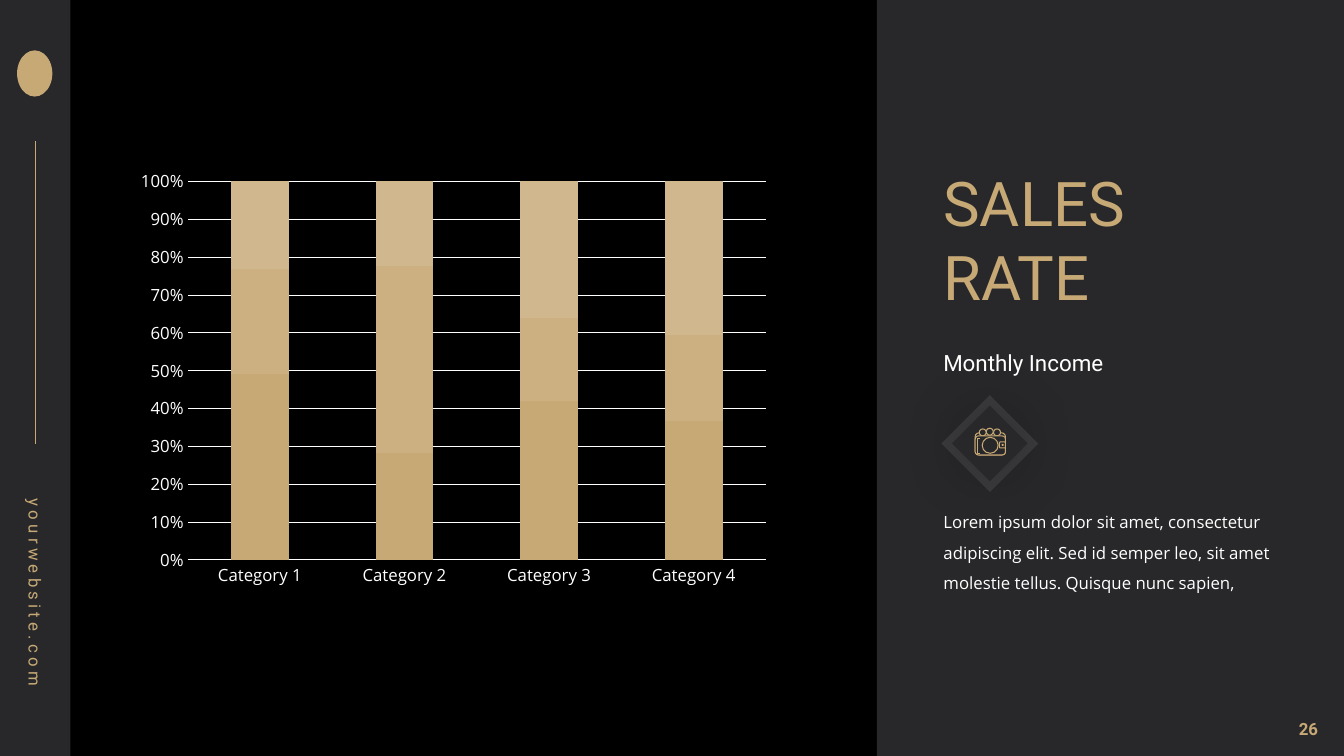
from dataclasses import dataclass, field
from typing import Any

from lxml import etree
from pptx import Presentation
from pptx.chart.data import CategoryChartData
from pptx.dml.color import RGBColor
from pptx.enum.chart import XL_CHART_TYPE, XL_TICK_MARK
from pptx.enum.shapes import MSO_CONNECTOR, MSO_SHAPE
from pptx.enum.text import MSO_ANCHOR, MSO_AUTO_SIZE, PP_ALIGN
from pptx.oxml.ns import qn
from pptx.util import Pt

RECTANGLE = MSO_SHAPE.RECTANGLE
ROUNDED = MSO_SHAPE.ROUNDED_RECTANGLE
OVAL = MSO_SHAPE.OVAL
STRAIGHT = MSO_CONNECTOR.STRAIGHT
STACKED = XL_CHART_TYPE.COLUMN_STACKED_100
NO_TICK = XL_TICK_MARK.NONE
LEFT, CENTER = PP_ALIGN.LEFT, PP_ALIGN.CENTER
TOP, MIDDLE = MSO_ANCHOR.TOP, MSO_ANCHOR.MIDDLE
NO_AUTOFIT = MSO_AUTO_SIZE.NONE


@dataclass(frozen=True)
class Theme:
    black: str = "000000"
    white: str = "FFFFFF"
    panel: str = "28282A"
    frame: str = "3B3B3D"
    gold: str = "C7A976"
    tints: tuple[str, ...] = ("C7A976", "CCB082", "D0B78D")
    heading_font: str = "Roboto"
    body_font: str = "Open Sans"
    title_size: int = 44
    heading_size: int = 16
    text_size: int = 12
    hairline: float = 0.75


THEME = Theme()


@dataclass(frozen=True)
class Box:
    left: float
    top: float
    width: float
    height: float

    def lengths(self) -> tuple[Pt, ...]:
        return Pt(self.left), Pt(self.top), Pt(self.width), Pt(self.height)


@dataclass(frozen=True)
class Block:
    kind: MSO_SHAPE
    box: Box
    fill: str | None = None
    line: str | None = None
    rotation: float = 0


@dataclass(frozen=True)
class Label:
    lines: tuple[str, ...]
    box: Box
    size: int = THEME.text_size
    font: str = THEME.heading_font
    color: str = THEME.gold
    bold: bool = False
    rotation: float = 0
    tracking: int = 0
    frame: dict[str, Any] = field(default_factory=dict)
    layout: dict[str, Any] = field(default_factory=dict)


def square(center_x: float, center_y: float, side: float) -> Box:
    return Box(center_x - side / 2, center_y - side / 2, side, side)


TEXT_LEFT = 666.7
ICON_X, ICON_Y = 707, 316.8

BACKDROP = (
    Block(RECTANGLE, Box(0, 0, 50.4, 540), THEME.panel),
    Block(OVAL, Box(12.2, 36, 25.2, 33), THEME.gold),
    Block(RECTANGLE, Box(626.4, 0, 333.6, 540), THEME.panel),
    Block(RECTANGLE, square(ICON_X, ICON_Y, 49), THEME.frame, rotation=45),
)
DIAMOND = Block(RECTANGLE, square(ICON_X, ICON_Y, 38.2), THEME.panel, rotation=45)
WALLET = (
    Block(ROUNDED, Box(696.6, 309.2, 21.6, 15.8), THEME.panel, THEME.gold),
    *(Block(OVAL, square(x, y, 5), THEME.panel, THEME.gold)
      for x, y in ((702, 308.9), (712.2, 308.9), (707, 308.4))),
    Block(ROUNDED, Box(696.6, 311.4, 21.6, 13.6), THEME.panel, THEME.gold),
    Block(OVAL, square(707.3, 318.1, 11.4), line=THEME.gold),
    Block(ROUNDED, Box(713.9, 315.7, 4.3, 4.3), THEME.panel, THEME.gold),
    Block(OVAL, square(716.2, 317.8, 1.6), THEME.gold),
)
STITCH = ((699.8, 312.6), (698.4, 312.6), (698.4, 323.6), (699.8, 323.6))

TITLE = Label(("SALES", "RATE"), Box(TEXT_LEFT, 114.5, 200, 113.8), THEME.title_size)
BODY = Label(
    ("Lorem ipsum dolor sit amet, consectetur adipiscing elit. "
     "Sed id semper leo, sit amet molestie tellus. Quisque nunc sapien,",),
    Box(TEXT_LEFT, 355, 284.4, 70.6), font=THEME.body_font, color=THEME.white,
    layout={"line_spacing": 1.5})
LABELS = (
    Label(("Monthly Income",), Box(TEXT_LEFT, 246.2, 163.4, 26.6),
          THEME.heading_size, color=THEME.white),
    Label(("yourwebsite.com",), Box(-59.8, 423.4, 169.9, 21.6),
          rotation=90, tracking=300),
    Label(("26",), Box(909.4, 506.2, 50.4, 28.8), bold=True,
          frame={"vertical_anchor": MIDDLE}, layout={"alignment": CENTER}),
)
CATEGORIES = [f"Category {number}" for number in range(1, 5)]
SERIES = ((49, 28, 42, 37), (28, 49, 22, 23), (23, 22, 36, 41))


def set_attributes(target: Any, values: dict[str, Any]) -> None:
    for name, value in values.items():
        setattr(target, name, value)


def rgb(color: str) -> RGBColor:
    return RGBColor.from_string(color)


def paint(shape: Any, fill: str | None, line: str | None) -> None:
    shape.shadow.inherit = False
    if fill:
        shape.fill.solid()
        shape.fill.fore_color.rgb = rgb(fill)
    else:
        shape.fill.background()
    if line:
        set_line(shape.line, line, THEME.hairline)
    else:
        shape.line.fill.background()


def set_line(line: Any, color: str, width: float) -> None:
    line.color.rgb = rgb(color)
    line.width = Pt(width)


def set_font(font: Any, name: str, size: int, color: str, bold: bool = False) -> None:
    set_attributes(font, {"name": name, "size": Pt(size), "bold": bold})
    font.color.rgb = rgb(color)


def place(shape: Any, box: Box) -> None:
    set_attributes(shape, dict(zip(("left", "top", "width", "height"), box.lengths())))


def add_block(slide: Any, block: Block) -> Any:
    shape = slide.shapes.add_shape(block.kind, *block.box.lengths())
    shape.rotation = block.rotation
    paint(shape, block.fill, block.line)
    return shape


def add_glow(shape: Any) -> None:
    effects = shape.element.spPr.find(qn("a:effectLst"))
    shadow = etree.SubElement(effects, qn("a:outerShdw"), blurRad=str(Pt(44)),
                              dist="0", dir="0", algn="ctr", rotWithShape="0")
    color = etree.SubElement(shadow, qn("a:srgbClr"), val=THEME.black)
    etree.SubElement(color, qn("a:alpha"), val="27000")


def write(shape: Any, label: Label) -> None:
    place(shape, label.box)
    shape.rotation = label.rotation
    frame = shape.text_frame
    set_attributes(frame, {"word_wrap": True, "auto_size": NO_AUTOFIT,
                           "vertical_anchor": TOP, **label.frame})
    frame.text = "\n".join(label.lines)
    for paragraph in frame.paragraphs:
        set_attributes(paragraph, {"alignment": LEFT, "space_before": Pt(0), **label.layout})
        for run in paragraph.runs:
            set_font(run.font, label.font, label.size, label.color, label.bold)
            if label.tracking:
                run._r.get_or_add_rPr().set("spc", str(label.tracking))


def fill_placeholder(shape: Any, label: Label) -> None:
    shape.element.getparent().append(shape.element)
    write(shape, label)
    for paragraph in shape.text_frame.paragraphs:
        properties = paragraph._p.get_or_add_pPr()
        set_indents = {"marL": "0", "indent": "0"}
        properties.attrib.update(set_indents)
        etree.SubElement(properties, qn("a:buNone"))


def add_rail_line(slide: Any) -> None:
    connector = slide.shapes.add_connector(STRAIGHT, Pt(25.2), Pt(100.8), Pt(25.2), Pt(317.5))
    set_line(connector.line, THEME.gold, 1)
    etree.SubElement(connector.element.spPr, qn("a:effectLst"))


def add_stitch(slide: Any) -> None:
    builder = slide.shapes.build_freeform(*STITCH[0], scale=Pt(1))
    builder.add_line_segments(STITCH[1:], close=False)
    paint(builder.convert_to_shape(), None, THEME.gold)


def add_sales_chart(slide: Any) -> None:
    data = CategoryChartData()
    data.categories = CATEGORIES
    for number, values in enumerate(SERIES, 1):
        data.add_series(f"Series {number}", values)
    box = Box(91.4, 115.2, 465.1, 310.3)
    chart = slide.shapes.add_chart(STACKED, *box.lengths(), data).chart
    set_attributes(chart, {"has_legend": False, "has_title": False})
    set_font(chart.font, THEME.body_font, THEME.text_size, THEME.white)
    plot = chart.plots[0]
    set_attributes(plot, {"gap_width": 150, "overlap": 100, "vary_by_categories": False})
    for series, color in zip(plot.series, THEME.tints):
        series.format.fill.solid()
        series.format.fill.fore_color.rgb = rgb(color)
    for axis in (chart.category_axis, chart.value_axis):
        set_attributes(axis, {"major_tick_mark": NO_TICK, "minor_tick_mark": NO_TICK})
        set_font(axis.tick_labels.font, THEME.body_font, THEME.text_size, THEME.white)
    set_line(chart.category_axis.format.line, THEME.white, THEME.hairline)
    values_axis = chart.value_axis
    set_attributes(values_axis, {"minimum_scale": 0, "maximum_scale": 1, "major_unit": 0.1})
    set_attributes(values_axis.tick_labels,
                   {"number_format": "0%", "number_format_is_linked": False})
    values_axis.format.line.fill.background()
    set_line(values_axis.major_gridlines.format.line, THEME.white, THEME.hairline)


def main() -> None:
    presentation = Presentation()
    set_attributes(presentation, {"slide_width": Pt(960), "slide_height": Pt(540)})
    slide = presentation.slides.add_slide(presentation.slide_layouts[1])
    slide.background.fill.solid()
    slide.background.fill.fore_color.rgb = rgb(THEME.black)
    for block in BACKDROP:
        add_block(slide, block)
    add_glow(add_block(slide, DIAMOND))
    for block in WALLET:
        add_block(slide, block)
    add_stitch(slide)
    add_rail_line(slide)
    add_sales_chart(slide)
    fill_placeholder(slide.shapes.title, TITLE)
    fill_placeholder(slide.placeholders[1], BODY)
    for label in LABELS:
        write(slide.shapes.add_textbox(*label.box.lengths()), label)
    presentation.save("out.pptx")


if __name__ == "__main__":
    main()
